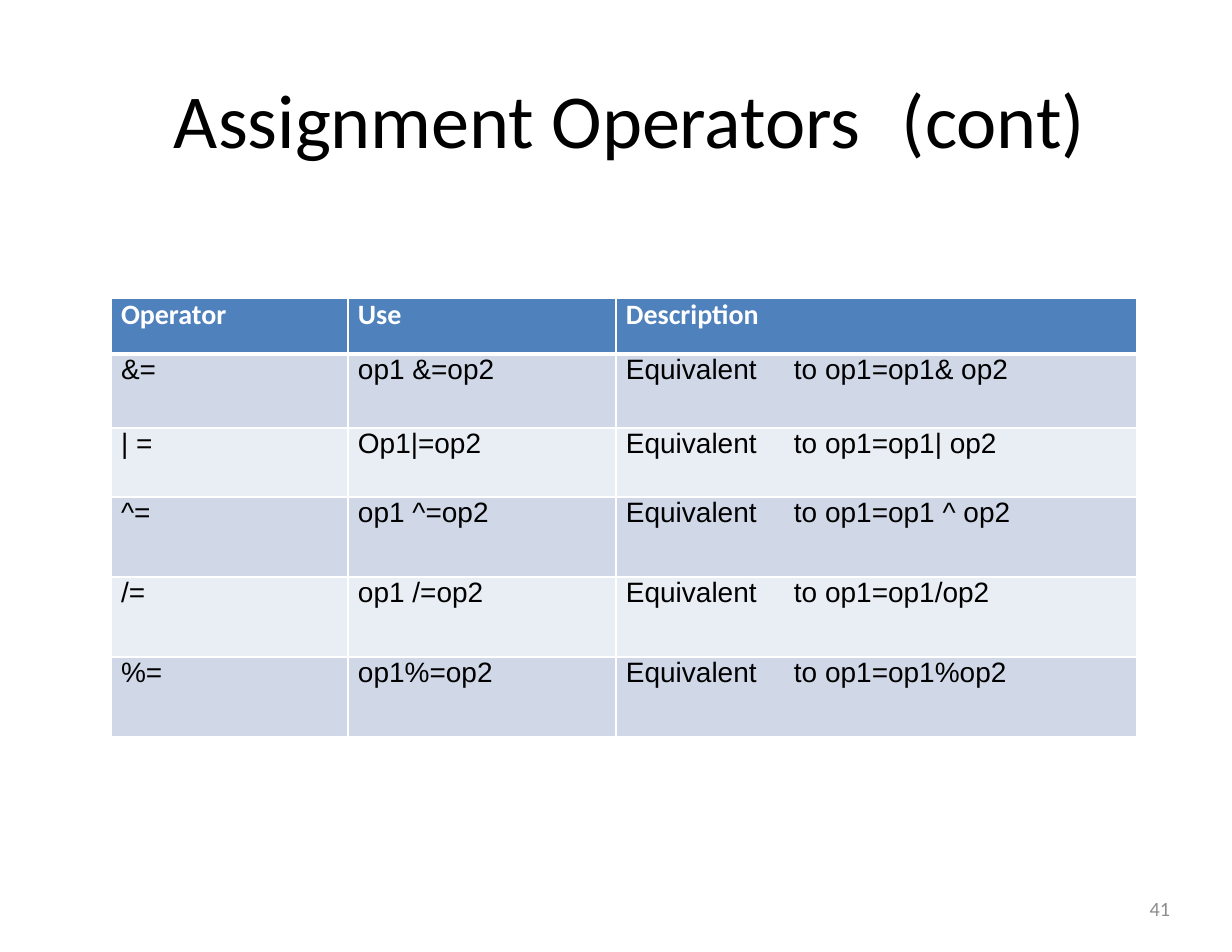
from pptx import Presentation
from pptx.dml.color import RGBColor
from pptx.enum.text import MSO_ANCHOR, PP_ALIGN
from pptx.oxml.ns import qn
from pptx.util import Emu, Pt
from lxml.etree import SubElement

EMU_PER_PX = 914400 // 112

BLACK = RGBColor(0x00, 0x00, 0x00)
WHITE = RGBColor(0xFF, 0xFF, 0xFF)
GREY = RGBColor(0x8C, 0x8C, 0x8C)
HEADER_BLUE = RGBColor(0x4F, 0x81, 0xBD)
BAND_DARK = RGBColor(0xD0, 0xD8, 0xE8)
BAND_LIGHT = RGBColor(0xE9, 0xED, 0xF4)

COLUMN_WIDTHS = [237, 268, 521]
ROW_HEIGHTS = [56, 74, 69, 80, 80, 80]
CELL_INDENT = 10
CELL_TAB = 157
THIN_RULE, HEADER_RULE = 1.18, 3.1

OPERATORS = [
    ("Operator", "Use", "Description"),
    ("&=", "op1 &=op2", "Equivalent\tto op1=op1& op2"),
    ("| =", "Op1|=op2", "Equivalent\tto op1=op1| op2"),
    ("^=", "op1 ^=op2", "Equivalent\tto op1=op1 ^ op2"),
    ("/=", "op1 /=op2", "Equivalent\tto op1=op1/op2"),
    ("%=", "op1%=op2", "Equivalent\tto op1=op1%op2"),
]


def px(length):
    return Emu(length * EMU_PER_PX)


def write_text(text_frame, text, size, font_name, color, bold=False, indent=0, tab=None):
    """Set one paragraph with an indent and, if it has a tab, a tab stop."""
    text_frame.text = text
    paragraph = text_frame.paragraphs[0]
    properties = paragraph._p.get_or_add_pPr()
    properties.set("marL", str(px(indent)))
    properties.set("indent", "0")
    if tab is not None:
        tab_list = SubElement(properties, qn("a:tabLst"))
        SubElement(tab_list, qn("a:tab"), pos=str(px(tab)), algn="l")
    for run in paragraph.runs:
        run.font.size = Pt(size)
        run.font.name = font_name
        run.font.bold = bold
        run.font.color.rgb = color
    return paragraph


def add_text(slide, left, top, width, height, text, size, color, **layout):
    box = slide.shapes.add_textbox(px(left), px(top), px(width), px(height))
    frame = box.text_frame
    frame.word_wrap = True
    frame.vertical_anchor = MSO_ANCHOR.MIDDLE
    frame.margin_left = frame.margin_top = frame.margin_right = frame.margin_bottom = 0
    return write_text(frame, text, size, "Calibri", color, **layout)


def set_borders(cell, top, bottom):
    properties = cell._tc.get_or_add_tcPr()
    widths = {"lnL": THIN_RULE, "lnR": THIN_RULE, "lnT": top, "lnB": bottom}
    for side, width in widths.items():
        line = SubElement(properties, qn(f"a:{side}"), w=str(Pt(width)))
        fill = SubElement(line, qn("a:solidFill"))
        SubElement(fill, qn("a:srgbClr"), val=str(WHITE))


def fill_cell(cell, text, row):
    is_header = row == 0
    cell.margin_left = cell.margin_top = cell.margin_right = cell.margin_bottom = 0
    set_borders(cell,
                top=HEADER_RULE if row == 1 else THIN_RULE,
                bottom=HEADER_RULE if is_header else THIN_RULE)
    cell.fill.solid()
    if is_header:
        cell.fill.fore_color.rgb = HEADER_BLUE
    else:
        cell.fill.fore_color.rgb = BAND_DARK if row % 2 else BAND_LIGHT
    write_text(cell.text_frame, text, 18,
               "Calibri" if is_header else "Arial",
               WHITE if is_header else BLACK,
               bold=is_header, indent=CELL_INDENT,
               tab=CELL_TAB if "\t" in text else None)


def add_operator_table(slide, left, top):
    frame = slide.shapes.add_table(
        len(ROW_HEIGHTS), len(COLUMN_WIDTHS), px(left), px(top),
        px(sum(COLUMN_WIDTHS)), px(sum(ROW_HEIGHTS)))
    table = frame.table
    for column, width in zip(table.columns, COLUMN_WIDTHS):
        column.width = px(width)
    for row, height in zip(table.rows, ROW_HEIGHTS):
        row.height = px(height)
    for row_index, texts in enumerate(OPERATORS):
        for column_index, text in enumerate(texts):
            fill_cell(table.cell(row_index, column_index), text, row_index)


def main():
    presentation = Presentation()
    presentation.slide_width = px(1232)
    presentation.slide_height = px(952)
    slide = presentation.slides.add_slide(presentation.slide_layouts[6])

    # Title
    add_text(slide, 62, 72, 1109, 92, "Assignment Operators\t(cont)", 49, BLACK,
             indent=112, tab=757)

    # Operator table
    add_operator_table(slide, 111, 298)

    # Slide number
    number = add_text(slide, 882, 883, 288, 50, "41", 13, GREY)
    number.alignment = PP_ALIGN.RIGHT

    presentation.save("out.pptx")


if __name__ == "__main__":
    main()
